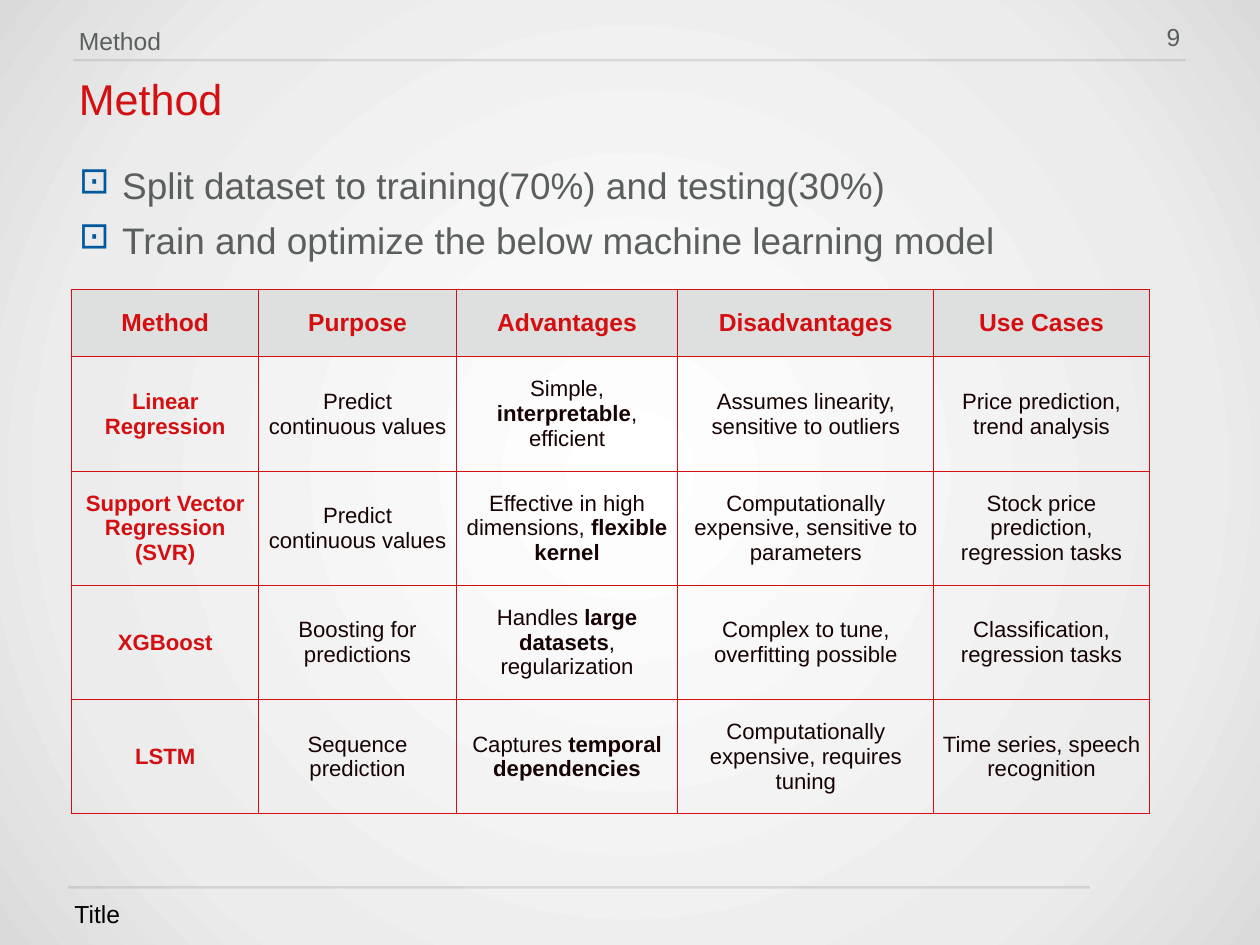
from lxml import etree
from pptx import Presentation
from pptx.dml.color import RGBColor
from pptx.enum.shapes import MSO_CONNECTOR
from pptx.enum.text import MSO_ANCHOR, MSO_AUTO_SIZE, PP_ALIGN
from pptx.oxml import parse_xml
from pptx.oxml.ns import qn
from pptx.util import Inches, Pt

STRAIGHT = MSO_CONNECTOR.STRAIGHT
TOP, MIDDLE, BOTTOM = MSO_ANCHOR.TOP, MSO_ANCHOR.MIDDLE, MSO_ANCHOR.BOTTOM
GROW, FIXED = MSO_AUTO_SIZE.SHAPE_TO_FIT_TEXT, MSO_AUTO_SIZE.NONE
LEFT, CENTER, RIGHT = PP_ALIGN.LEFT, PP_ALIGN.CENTER, PP_ALIGN.RIGHT

FONT = "Arial"
GRAY = RGBColor(0x5A, 0x5F, 0x5E)
RED = RGBColor(0xD3, 0x0F, 0x11)
BLUE = RGBColor(0x00, 0x59, 0x9E)
BLACK = RGBColor(0x00, 0x00, 0x00)
INK = RGBColor(0x16, 0x02, 0x02)
HEADER_FILL = RGBColor(0xDE, 0xDF, 0xDF)
DRAWING = "http://schemas.openxmlformats.org/drawingml/2006/main"

BACKGROUND_STOPS = [(0, "FFFFFF"), (73, "ECECEC"), (100, "DADADA")]
RULES = [(0.83, 13.38, 0.68), (0.77, 12.3, 10.02)]
LABELS = [
    ("9", (12.84, 0.23, 0.54, 0.44), 20, GRAY, RIGHT, TOP, FIXED, 0.9, 12),
    ("Method", (0.83, 0.23, 10.39, 0.45), 20, GRAY, LEFT, TOP, GROW, 1.0, 12),
    ("Method", (0.83, 0.83, 12.54, 0.67), 35, RED, LEFT, TOP, FIXED, 0.9, 0),
    ("Title", (0.78, 10.1, 5.99, 0.44), 20, BLACK, LEFT, BOTTOM, GROW, 1.0, 12),
]
BULLETS = [
    "Split dataset to training(70%) and testing(30%)",
    "Train and optimize the below machine learning model",
]
# Asterisks enclose bold words.
METHODS = [
    ("Method", "Purpose", "Advantages", "Disadvantages", "Use Cases"),
    ("Linear Regression", "Predict continuous values", "Simple, *interpretable*, efficient",
     "Assumes linearity, sensitive to outliers", "Price prediction, trend analysis"),
    ("Support Vector Regression (SVR)", "Predict continuous values",
     "Effective in high dimensions, *flexible kernel*",
     "Computationally expensive, sensitive to parameters",
     "Stock price prediction, regression tasks"),
    ("XGBoost", "Boosting for predictions", "Handles *large datasets*, regularization",
     "Complex to tune, overfitting possible", "Classification, regression tasks"),
    ("LSTM", "Sequence prediction", "Captures *temporal dependencies*",
     "Computationally expensive, requires tuning", "Time series, speech recognition"),
]
COLUMN_WIDTHS = [2.11, 2.23, 2.5, 2.89, 2.43]
ROW_HEIGHTS = [0.76] + [1.29] * 4


def paint_background(page):
    page.background.fill.solid()
    solid = page.element.find(".//" + qn("p:bgPr")).find(qn("a:solidFill"))
    stops = "".join(
        f'<a:gs pos="{place * 1000}"><a:srgbClr val="{color}"/></a:gs>'
        for place, color in BACKGROUND_STOPS)
    gradient = parse_xml(
        f'<a:gradFill xmlns:a="{DRAWING}" rotWithShape="1"><a:gsLst>{stops}</a:gsLst>'
        '<a:path path="circle"><a:fillToRect l="50000" t="50000" r="50000" b="50000"/>'
        '</a:path></a:gradFill>')
    solid.getparent().replace(solid, gradient)


def add_rule(page, left, right, top):
    rule = page.shapes.add_connector(
        STRAIGHT, Inches(left), Inches(top), Inches(right), Inches(top))
    rule.line.color.rgb = GRAY
    rule.line.width = Pt(2)
    color = rule.element.find(".//" + qn("a:srgbClr"))
    etree.SubElement(color, qn("a:alpha"), val="16000")
    etree.SubElement(rule.element.spPr, qn("a:effectLst"))


def add_span(para, text, size, color, bold=False):
    span = para.add_run()
    span.text = text
    span.font.name = FONT
    span.font.size = Pt(size)
    span.font.color.rgb = color
    span.font.bold = bold


def add_frame(page, place, anchor, growth):
    frame = page.shapes.add_textbox(*map(Inches, place)).text_frame
    frame.word_wrap = True
    frame.auto_size = growth
    frame.vertical_anchor = anchor
    frame.margin_left = frame.margin_right = Inches(0.06)
    frame.margin_top = frame.margin_bottom = Inches(0.06)
    return frame


def add_label(page, text, place, size, color, align, anchor, growth, spacing, before):
    para = add_frame(page, place, anchor, growth).paragraphs[0]
    para.alignment = align
    para.line_spacing = spacing
    para.space_before = Pt(before)
    add_span(para, text, size, color)


def add_bullets(page):
    frame = add_frame(page, (0.83, 1.65, 12.54, 1.31), TOP, GROW)
    for index, text in enumerate(BULLETS):
        para = frame.add_paragraph() if index else frame.paragraphs[0]
        para.line_spacing = Pt(45)
        add_span(para, text, 30, GRAY)
        settings = para._p.get_or_add_pPr()
        settings.set("marL", str(Inches(0.49)))
        settings.set("indent", str(-Inches(0.49)))
        color = etree.SubElement(settings, qn("a:buClr"))
        etree.SubElement(color, qn("a:srgbClr"), val=str(BLUE))
        etree.SubElement(settings, qn("a:buChar"), char="⊡")


def add_borders(cell):
    settings = cell._tc.get_or_add_tcPr()
    for side in ("a:lnL", "a:lnR", "a:lnT", "a:lnB"):
        border = etree.SubElement(settings, qn(side), w=str(Pt(1)))
        fill = etree.SubElement(border, qn("a:solidFill"))
        etree.SubElement(fill, qn("a:srgbClr"), val=str(RED))


def fill_cell(cell, text, is_header, is_name):
    add_borders(cell)
    if is_header:
        cell.fill.solid()
        cell.fill.fore_color.rgb = HEADER_FILL
    else:
        cell.fill.background()
    cell.vertical_anchor = MIDDLE
    para = cell.text_frame.paragraphs[0]
    para.alignment = CENTER
    strong = is_header or is_name
    for index, part in enumerate(text.split("*")):
        if part:
            add_span(para, part, 20 if is_header else 18,
                     RED if strong else INK, strong or index % 2 == 1)


def add_methods(page):
    table = page.shapes.add_table(
        len(METHODS), len(COLUMN_WIDTHS), Inches(0.81), Inches(3.27),
        Inches(sum(COLUMN_WIDTHS)), Inches(sum(ROW_HEIGHTS))).table
    table.first_row = table.horz_banding = False
    for column, width in zip(table.columns, COLUMN_WIDTHS):
        column.width = Inches(width)
    for row, height in zip(table.rows, ROW_HEIGHTS):
        row.height = Inches(height)
    for row, texts in enumerate(METHODS):
        for column, text in enumerate(texts):
            fill_cell(table.cell(row, column), text, row == 0, column == 0)


def main():
    deck = Presentation()
    deck.slide_width, deck.slide_height = Inches(14.22), Inches(10.67)
    page = deck.slides.add_slide(deck.slide_layouts[6])
    paint_background(page)
    for rule in RULES:
        add_rule(page, *rule)
    for label in LABELS:
        add_label(page, *label)
    add_bullets(page)
    add_methods(page)
    deck.save("out.pptx")


if __name__ == "__main__":
    main()
